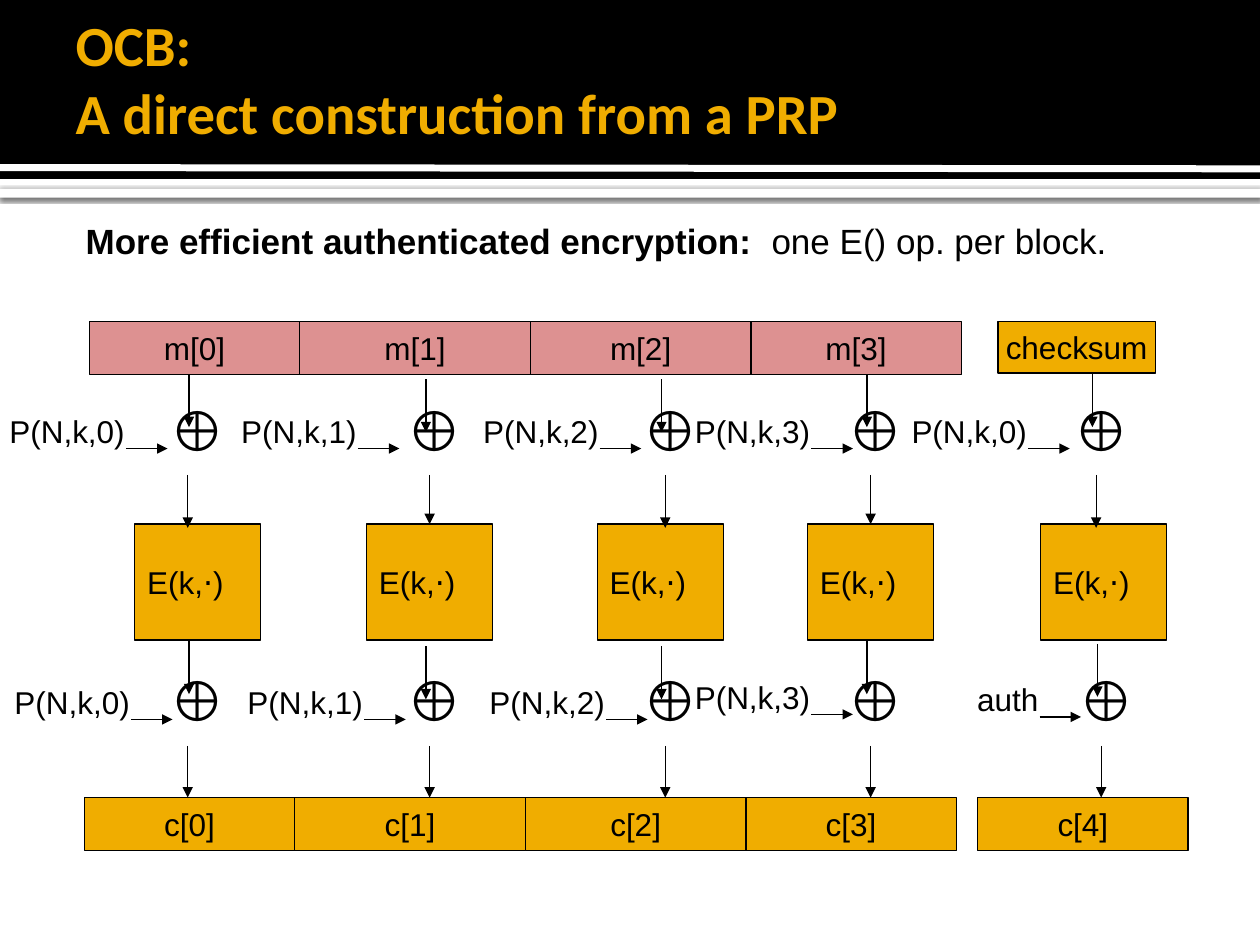
"""Build the slide that explains OCB authenticated encryption."""
from dataclasses import dataclass
from typing import Optional

from lxml import etree
from pptx import Presentation
from pptx.dml.color import RGBColor
from pptx.enum import shapes, text
from pptx.oxml import ns
from pptx.util import Inches, Pt


@dataclass(frozen=True)
class Theme:
    black: RGBColor = RGBColor(0x00, 0x00, 0x00)
    white: RGBColor = RGBColor(0xFF, 0xFF, 0xFF)
    gold: RGBColor = RGBColor(0xF0, 0xAD, 0x00)
    rose: RGBColor = RGBColor(0xDD, 0x91, 0x91)
    heading_font: str = "Calibri"
    body_font: str = "Arial"
    heading: float = 32.4
    lead: float = 20
    symbol: float = 32
    label: float = 18
    outline: float = 0.75
    rule: float = 4


@dataclass(frozen=True)
class Box:
    left: float
    top: float
    width: float
    height: float


@dataclass(frozen=True)
class Mask:
    label: str
    left: float
    top: float
    sum_left: float
    drop_top: float
    width: float = 1.13


@dataclass(frozen=True)
class Lane:
    message: str
    message_box: Box
    fill: RGBColor
    cipher_left: float
    output: str
    output_box: Box
    before: Mask
    after: Mask
    exit_shift: float = 0.28


THEME = Theme()
ARROW = 0.42
CIPHER_TOP, CIPHER_HEIGHT = 4.16, 0.92
SUM_TOPS = 3.09, 5.23
EXIT_SPANS = (3.77, 4.19), (5.92, 6.33)
ALIGN = text.PP_ALIGN


def message_lane(index: int, left: float, width: float, cipher_left: float,
                 before: Mask, after: Mask, exit_shift: float = 0.28) -> Lane:
    """Describe one lane of a message block and its ciphertext block."""
    return Lane(f"m[{index}]", Box(left, 2.55, width, 0.42), THEME.rose, cipher_left,
                f"c[{index}]", Box(left - 0.04, 6.33, width, 0.42), before, after, exit_shift)


LANES = [
    message_lane(0, 0.71, 1.67, 1.07, Mask("P(N,k,0)", -0.04, 3.22, 1.25, 2.97),
                 Mask("P(N,k,0)", 0, 5.37, 1.25, 5.09), 0.24),
    message_lane(1, 2.38, 1.83, 2.91, Mask("P(N,k,1)", 1.8, 3.22, 3.13, 3.01),
                 Mask("P(N,k,1)", 1.85, 5.37, 3.13, 5.13)),
    message_lane(2, 4.21, 1.75, 4.74, Mask("P(N,k,2)", 3.72, 3.22, 5, 3.01),
                 Mask("P(N,k,2)", 3.77, 5.37, 5, 5.13)),
    message_lane(3, 5.96, 1.67, 6.41, Mask("P(N,k,3)", 5.4, 3.22, 6.63, 2.97),
                 Mask("P(N,k,3)", 5.4, 5.33, 6.63, 5.09)),
    Lane("checksum", Box(7.92, 2.55, 1.25, 0.41), THEME.gold, 8.26,
         "c[4]", Box(7.76, 6.33, 1.67, 0.42), Mask("P(N,k,0)", 7.12, 3.22, 8.42, 2.97),
         Mask("auth", 7.65, 5.35, 8.46, 5.11, 0.69)),
]


def add_run(paragraph, words: str, size: float, color: RGBColor = THEME.black,
            bold: bool = False, font: str = THEME.body_font) -> None:
    """Append one formatted run."""
    run = paragraph.add_run()
    run.text = words
    run.font.name, run.font.size, run.font.bold = font, Pt(size), bold
    run.font.color.rgb = color


def add_rectangle(slide, box: Box, fill: RGBColor):
    """Add a plain rectangle without line or shadow."""
    rectangle = slide.shapes.add_shape(
        shapes.MSO_SHAPE.RECTANGLE,
        *map(Inches, (box.left, box.top, box.width, box.height)))
    rectangle.shadow.inherit = False
    rectangle.fill.solid()
    rectangle.fill.fore_color.rgb = fill
    rectangle.line.fill.background()
    return rectangle


def add_block(slide, words: str, box: Box, fill: RGBColor, align=ALIGN.CENTER):
    """Add an outlined block with its label."""
    block = add_rectangle(slide, box, fill)
    block.line.color.rgb = THEME.black
    block.line.width = Pt(THEME.outline)
    frame = block.text_frame
    frame.word_wrap = False
    frame.vertical_anchor = text.MSO_ANCHOR.MIDDLE
    frame.paragraphs[0].alignment = align
    add_run(frame.paragraphs[0], words, THEME.label)
    return block


def add_label(slide, words: str, box: Box, size: float, align=ALIGN.LEFT) -> None:
    """Add an unwrapped label that fits its text."""
    label = slide.shapes.add_textbox(
        *map(Inches, (box.left, box.top, box.width, box.height)))
    frame = label.text_frame
    frame.word_wrap = False
    frame.auto_size = text.MSO_AUTO_SIZE.SHAPE_TO_FIT_TEXT
    frame.paragraphs[0].alignment = align
    add_run(frame.paragraphs[0], words, size)


def add_line(slide, start: tuple[float, float], end: tuple[float, float],
             color: RGBColor, width: float):
    """Add a straight line without shadow."""
    line = slide.shapes.add_connector(
        shapes.MSO_CONNECTOR.STRAIGHT, *map(Inches, (*start, *end)))
    line.line.color.rgb = color
    line.line.width = Pt(width)
    etree.SubElement(line.element.spPr, ns.qn("a:effectLst"))
    return line


def add_arrow(slide, start: tuple[float, float], end: tuple[float, float]):
    """Add a thin line with a triangular head at its end."""
    arrow = add_line(slide, start, end, THEME.black, THEME.outline)
    outline = arrow.element.spPr.find(ns.qn("a:ln"))
    etree.SubElement(outline, ns.qn("a:tailEnd"), type="triangle")
    return arrow


def add_mask(slide, mask: Mask, sum_top: float, exit_span: tuple[float, float],
             exit_shift: float, target: Optional[object] = None) -> None:
    """Draw one XOR step with its mask and its arrows."""
    add_label(slide, "⊕", Box(mask.sum_left, sum_top, 0.55, 0.64), THEME.symbol)
    drop = mask.sum_left + 0.25
    add_arrow(slide, (drop, mask.drop_top), (drop, mask.drop_top + ARROW))
    leave = mask.sum_left + exit_shift
    way_out = add_arrow(slide, (leave, exit_span[0]), (leave, exit_span[1]))
    if target is not None and abs(target.left + target.width / 2 - Inches(leave)) < Inches(0.01):
        way_out.end_connect(target, 0)
    add_label(slide, mask.label, Box(mask.left, mask.top, mask.width, 0.4),
              THEME.label, ALIGN.RIGHT)
    feed, level = mask.left + mask.width - 0.09, mask.top + 0.34
    add_arrow(slide, (feed, level), (feed + 0.33, level))


def add_lane(slide, lane: Lane) -> None:
    """Draw a lane from its message block to its ciphertext block."""
    add_block(slide, lane.message, lane.message_box, lane.fill)
    cipher = add_block(slide, "E(k,⋅)", Box(lane.cipher_left, CIPHER_TOP, 1, CIPHER_HEIGHT),
                       THEME.gold, ALIGN.LEFT)
    output = add_block(slide, lane.output, lane.output_box, THEME.gold)
    steps = zip((lane.before, lane.after), SUM_TOPS, EXIT_SPANS, (cipher, output))
    for mask, sum_top, exit_span, target in steps:
        add_mask(slide, mask, sum_top, exit_span, lane.exit_shift, target)


def add_header(slide) -> None:
    """Draw the header band and set the title on it."""
    strip = add_rectangle(slide, Box(0, 1.5, 10, 0.07), THEME.white)
    effects = strip.element.spPr.find(ns.qn("a:effectLst"))
    shadow = etree.SubElement(effects, ns.qn("a:outerShdw"), blurRad=str(Pt(2.5)),
                              dist=str(Pt(0.8)), dir="5400000", rotWithShape="0")
    tint = etree.SubElement(shadow, ns.qn("a:srgbClr"), val=str(THEME.black))
    etree.SubElement(tint, ns.qn("a:alpha"), val="60000")
    add_rectangle(slide, Box(0, 0, 10, 1.42), THEME.black)
    add_line(slide, (0, 1.33), (10, 1.34), THEME.white, THEME.rule)

    title = slide.shapes.title
    slide.shapes.element.append(title.element)
    title.left, title.top, title.width, title.height = map(Inches, (0.5, 0.08, 8.25, 1.08))
    frame = title.text_frame
    frame.auto_size = text.MSO_AUTO_SIZE.NONE
    frame.vertical_anchor = text.MSO_ANCHOR.MIDDLE
    heading = frame.paragraphs[0]
    heading.alignment = ALIGN.LEFT
    add_run(heading, "OCB:", THEME.heading, THEME.gold, True, THEME.heading_font)
    heading.add_line_break()
    add_run(heading, "A direct construction from a PRP", THEME.heading, THEME.gold, True,
            THEME.heading_font)


def add_lead(slide) -> None:
    """Add the sentence above the diagram."""
    lead = slide.shapes.add_textbox(*map(Inches, (0.5, 1.69, 9, 0.64)))
    frame = lead.text_frame
    frame.word_wrap = True
    frame.margin_left = Inches(0.18)
    add_run(frame.paragraphs[0], "More efficient authenticated encryption:  ", THEME.lead,
            bold=True)
    add_run(frame.paragraphs[0], "one E() op. per block.", THEME.lead)


def main() -> None:
    """Build and save the slide."""
    deck = Presentation()
    deck.slide_width, deck.slide_height = Inches(10), Inches(7.5)
    slide = deck.slides.add_slide(deck.slide_layouts[5])
    add_header(slide)
    add_lead(slide)
    for lane in LANES:
        add_lane(slide, lane)
    deck.save("out.pptx")


if __name__ == "__main__":
    main()
